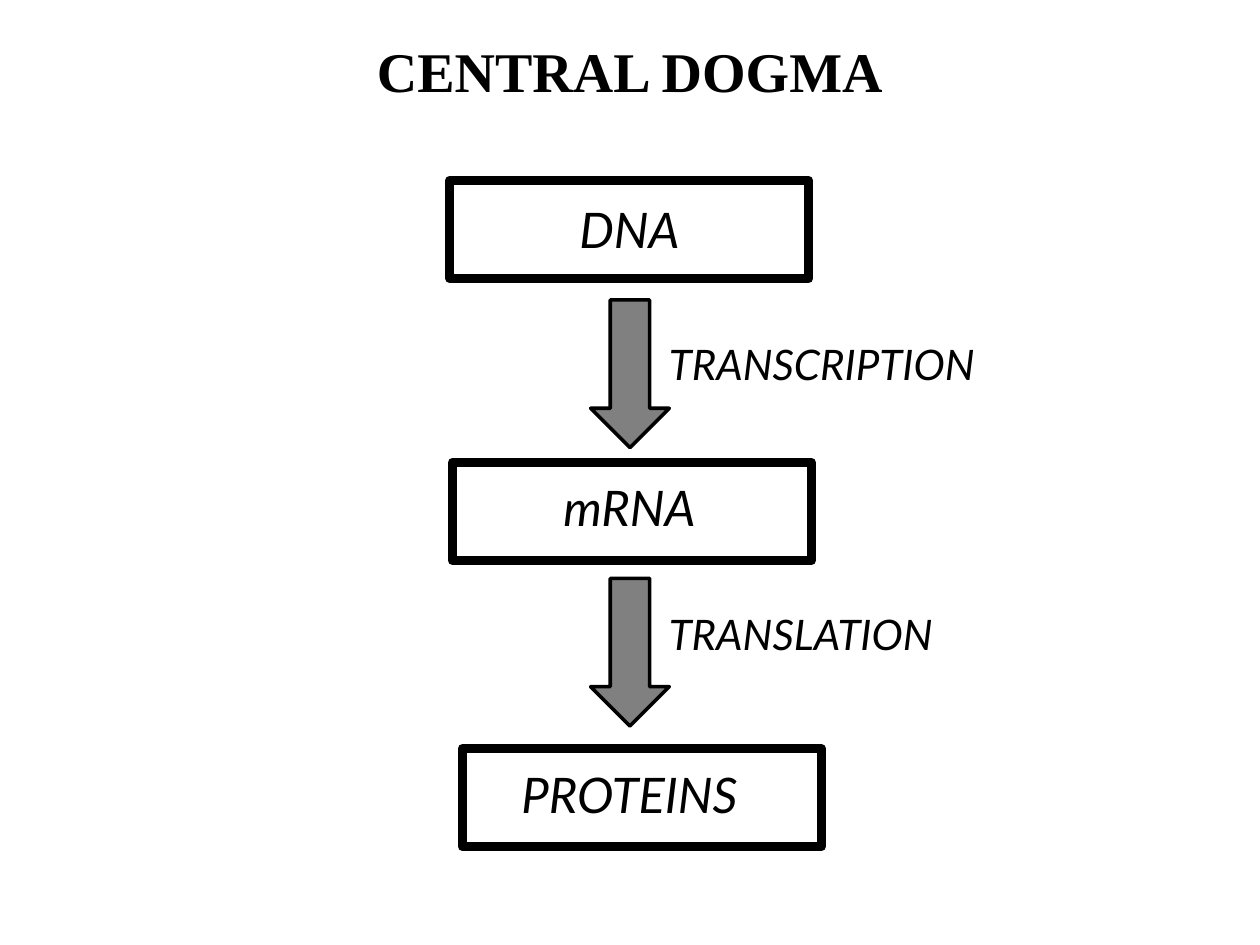
from pptx import Presentation
from pptx.dml.color import RGBColor
from pptx.enum.shapes import MSO_SHAPE
from pptx.enum.text import MSO_AUTO_SIZE, PP_ALIGN
from pptx.util import Pt

BLACK = RGBColor(0, 0, 0)
GRAY = RGBColor(128, 128, 128)


class Deck:
    serif = "Times New Roman"
    sans = "Lato"

    def __init__(self, wide, high):
        self.prs = Presentation()
        self.prs.slide_width, self.prs.slide_height = Pt(wide), Pt(high)
        self.slide = self.prs.slides.add_slide(self.prs.slide_layouts[6])

    def text(self, words, box, size, align=PP_ALIGN.CENTER, head=False):
        shape = self.slide.shapes.add_textbox(*map(Pt, box))
        frame = shape.text_frame
        frame.word_wrap = True
        frame.auto_size = MSO_AUTO_SIZE.NONE
        if head:
            frame.margin_top = Pt(7)
        par = frame.paragraphs[0]
        par.text = words
        par.alignment = align
        font = par.font
        font.name = self.serif if head else self.sans
        font.size = Pt(size)
        font.bold, font.italic = head, not head
        font.color.rgb = BLACK

    def shape(self, kind, box, line, fill=None):
        shape = self.slide.shapes.add_shape(kind, *map(Pt, box))
        shape.shadow.inherit = False
        if fill is None:
            shape.fill.background()
        else:
            shape.fill.solid()
            shape.fill.fore_color.rgb = fill
        shape.line.color.rgb = BLACK
        shape.line.width = Pt(line)

    def frame(self, left, top):
        self.shape(MSO_SHAPE.RECTANGLE, (left, top, 205.2, 56.2), 5)

    def arrow(self, top):
        self.shape(MSO_SHAPE.DOWN_ARROW, (337.5, top, 45, 84.4), 2, GRAY)


deck = Deck(720, 540)

# Title
deck.text("CENTRAL DOGMA", (124, 13.7, 472, 67.7), 32, head=True)

# Molecules: frame left, frame top, text top
for name, left, top, mid in (
    ("DNA", 257, 103, 110.2),
    ("mRNA", 258.5, 264.2, 269.3),
    ("PROTEINS", 264.2, 427.7, 433.4),
):
    deck.frame(left, top)
    deck.text(name, (255.6, mid, 208.1, 41), 28)

# Steps: arrow top, label top, label width
for name, top, mid, wide in (
    ("TRANSCRIPTION", 171.4, 190.1, 298),
    ("TRANSLATION", 330.5, 344.2, 247.7),
):
    deck.arrow(top)
    deck.text(name, (375.1, mid, wide, 36), 24, PP_ALIGN.LEFT)

deck.prs.save("out.pptx")
